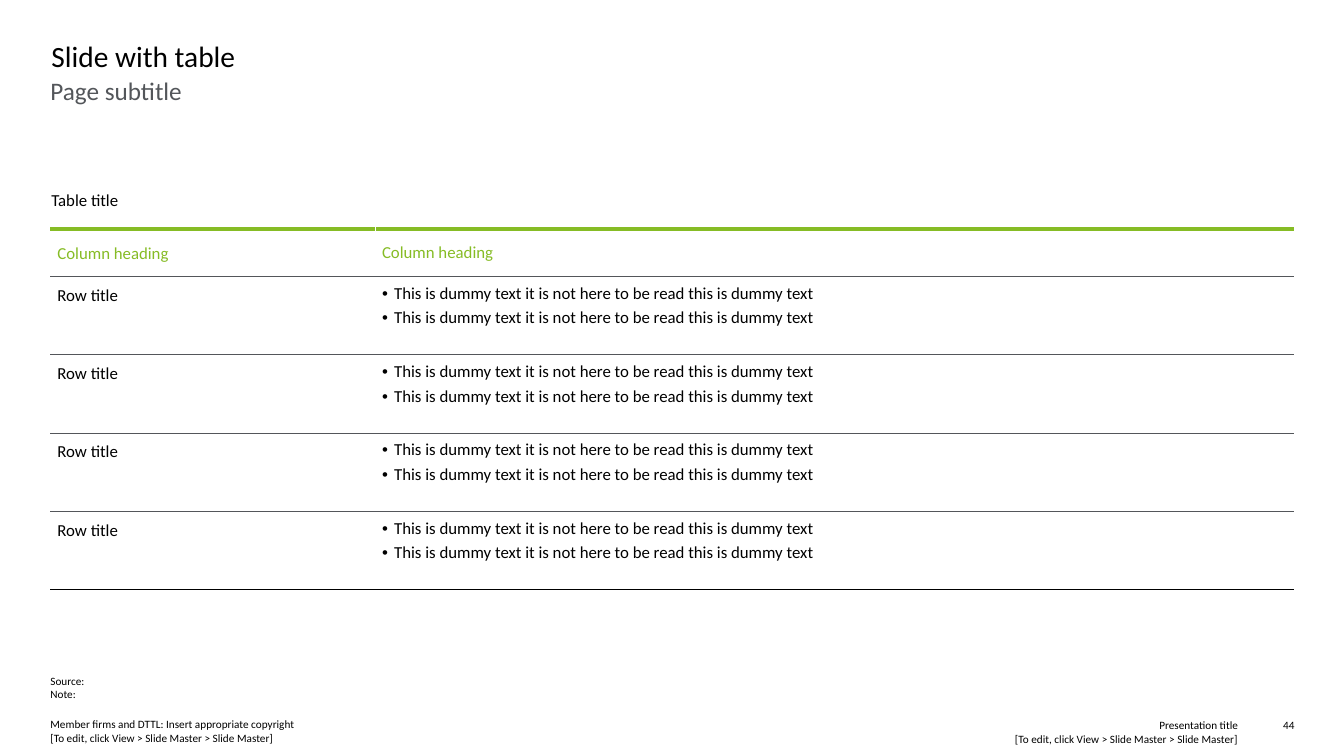
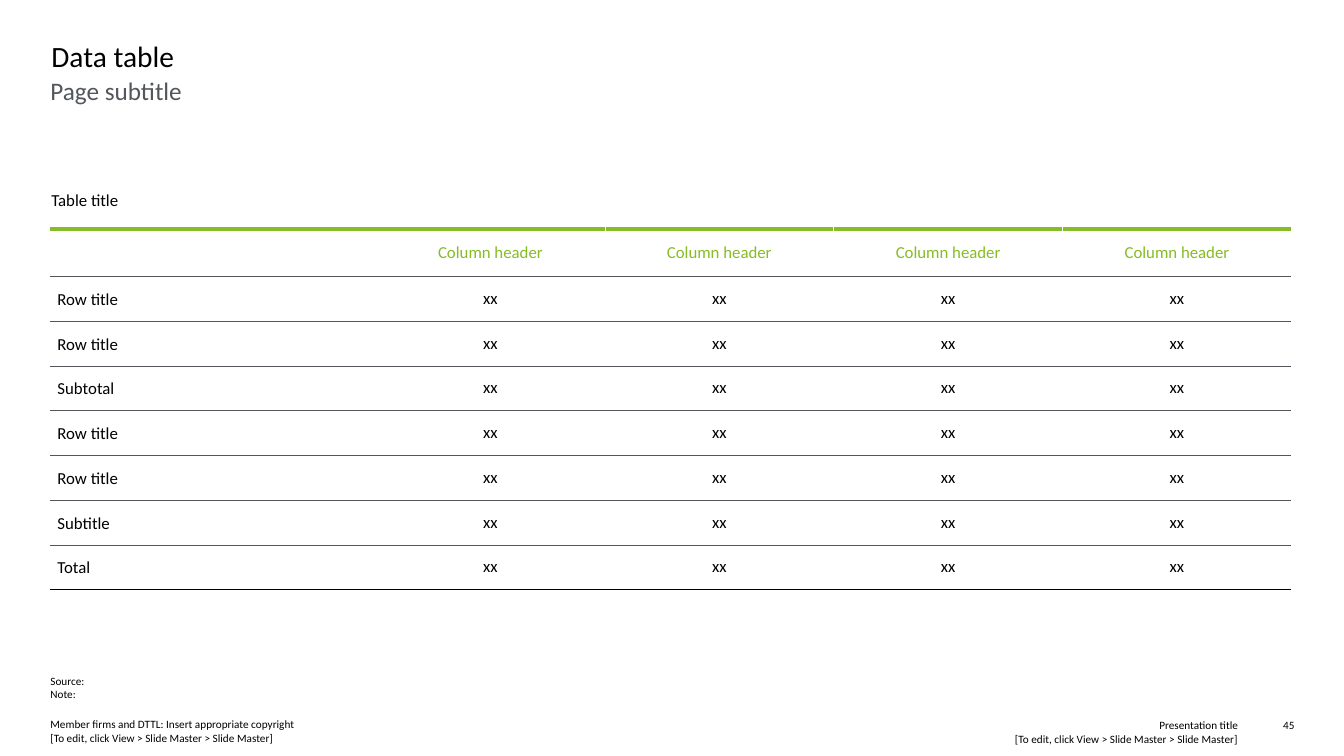
from lxml.etree import SubElement
from pptx import Presentation
from pptx.dml.color import RGBColor
from pptx.enum.text import MSO_ANCHOR, MSO_AUTO_SIZE, PP_ALIGN
from pptx.oxml.ns import qn
from pptx.util import Inches, Pt

FONT = "Calibri"
COLORS = {"text": "000000", "grey": "53565A", "green": "86BC25", "white": "FFFFFF"}
NO_GRID_STYLE = "{2D5ABB26-0587-4C30-8999-92F81FD0307C}"
LEFT, WIDTH = 0.5, 12.33
TABLE_TOP, TABLE_HEIGHT, HEADER_HEIGHT = 2.27, 3.58, 0.47
EDIT_HINT = "[To edit, click View > Slide Master > Slide Master]"
DUMMY_TEXT = "This is dummy text it is not here to be read this is dummy text"


class Deck:
    def __init__(self):
        self.presentation = Presentation()
        self.presentation.slide_width = Inches(13.33)
        self.presentation.slide_height = Inches(7.5)
        self.slide = None

    def add_slide(self, title, number):
        layout = self.presentation.slide_layouts[5]
        self.slide = self.presentation.slides.add_slide(layout)
        shape = self.slide.shapes.title
        shape.left, shape.top = Inches(0.51), Inches(0.38)
        shape.width, shape.height = Inches(12.32), Inches(0.37)
        self.fill_frame(shape.text_frame, [title], 21)
        self.add_text(["Page subtitle"], LEFT, 0.75, WIDTH, 1.12, 18, "grey")
        self.add_text(["Table title"], 0.51, 1.88, WIDTH, 0.39, 12)
        self.add_text(["Source:", "Note:"], LEFT, 6.69, WIDTH, 0.26)
        self.add_text(
            ["Member firms and DTTL: Insert appropriate copyright\v" + EDIT_HINT],
            LEFT, 7.12, 5.86, 0.27,
        )
        self.add_text(
            ["Presentation title\v" + EDIT_HINT],
            6.93, 7.13, 5.35, 0.27, align=PP_ALIGN.RIGHT,
        )
        self.add_text([str(number)], 12.5, 7.13, 0.34, 0.13, align=PP_ALIGN.RIGHT)

    def add_text(self, lines, left, top, width, height, size=8, color="text",
                 align=PP_ALIGN.LEFT):
        shape = self.slide.shapes.add_textbox(
            Inches(left), Inches(top), Inches(width), Inches(height))
        self.fill_frame(shape.text_frame, lines, size, color, align)

    def fill_frame(self, frame, lines, size, color="text", align=PP_ALIGN.LEFT):
        frame.margin_left = frame.margin_right = 0
        frame.margin_top = frame.margin_bottom = 0
        frame.word_wrap = True
        frame.auto_size = MSO_AUTO_SIZE.NONE
        frame.vertical_anchor = MSO_ANCHOR.TOP
        self.write_lines(frame, lines, size, color, align)

    def write_lines(self, frame, lines, size, color, align, bulleted=False):
        frame.text = "\n".join(lines)
        for index, paragraph in enumerate(frame.paragraphs):
            if bulleted:
                self.add_bullet(paragraph)
                if index:
                    paragraph.space_before = Pt(3)
            paragraph.alignment = align
            paragraph.font.name = FONT
            paragraph.font.size = Pt(size)
            paragraph.font.color.rgb = RGBColor.from_string(COLORS[color])

    def add_bullet(self, paragraph):
        properties = paragraph._p.get_or_add_pPr()
        properties.set("marL", str(Inches(0.12)))
        properties.set("indent", str(-Inches(0.12)))
        SubElement(properties, qn("a:buFont"), typeface="Arial")
        SubElement(properties, qn("a:buChar"), char="•")

    def add_table(self, column_widths, headings, rows, anchor, align):
        heights = [HEADER_HEIGHT]
        heights += [(TABLE_HEIGHT - HEADER_HEIGHT) / len(rows)] * len(rows)
        frame = self.slide.shapes.add_table(
            len(heights), len(column_widths), Inches(LEFT), Inches(TABLE_TOP),
            Inches(sum(column_widths)), Inches(TABLE_HEIGHT))
        table = frame.table
        table.first_row = table.horz_banding = False
        table._tbl.tblPr.find(qn("a:tableStyleId")).text = NO_GRID_STYLE
        for column, width in zip(table.columns, column_widths):
            column.width = Inches(width)
        for row, height in zip(table.rows, heights):
            row.height = Inches(height)
        for index, heading in enumerate(headings):
            borders = {"T": ("green", 3), "B": ("grey", 0.25)}
            if index and headings[index - 1]:
                borders["L"] = ("white", 0.5)
            if heading and index < len(headings) - 1:
                borders["R"] = ("white", 0.5)
            self.fill_cell(table.cell(0, index), [heading], "green",
                           MSO_ANCHOR.MIDDLE, align if index else PP_ALIGN.LEFT, borders)
        for row_index, (row_title, content) in enumerate(rows, 1):
            bottom = "text" if row_index == len(rows) else "grey"
            borders = {"T": ("grey", 0.25), "B": (bottom, 0.25)}
            self.fill_cell(table.cell(row_index, 0), [row_title], "text",
                           anchor, PP_ALIGN.LEFT, borders)
            for index, lines in enumerate(content, 1):
                self.fill_cell(table.cell(row_index, index), lines, "text",
                               anchor, align, borders, len(lines) > 1)
        for row in table.rows:
            row.cells[0].text_frame.paragraphs[0].line_spacing = 1.1

    def fill_cell(self, cell, lines, color, anchor, align, borders, bulleted=False):
        cell.margin_left = cell.margin_right = Inches(0.07)
        cell.margin_top = cell.margin_bottom = Inches(0.07)
        cell.vertical_anchor = anchor
        self.write_lines(cell.text_frame, lines, 12, color, align, bulleted)
        properties = cell._tc.get_or_add_tcPr()
        for side in "LRTB":
            if side in borders:
                border_color, width = borders[side]
                line = SubElement(properties, qn("a:ln" + side), w=str(Pt(width)))
                fill = SubElement(line, qn("a:solidFill"))
                SubElement(fill, qn("a:srgbClr"), val=COLORS[border_color])
        cell.fill.solid()
        cell.fill.fore_color.rgb = RGBColor.from_string(COLORS["white"])


def main():
    deck = Deck()

    deck.add_slide("Slide with table", 44)
    text_rows = [("Row title", [[DUMMY_TEXT] * 2])] * 4
    deck.add_table([3.22, 9.11], ["Column heading"] * 2, text_rows,
                   MSO_ANCHOR.TOP, PP_ALIGN.LEFT)

    deck.add_slide("Data table", 45)
    row_titles = ["Row title", "Row title", "Subtotal", "Row title", "Row title",
                  "Subtitle", "Total"]
    data_rows = [(row_title, [["xx"]] * 4) for row_title in row_titles]
    deck.add_table([3.23] + [2.27] * 4, [""] + ["Column header"] * 4, data_rows,
                   MSO_ANCHOR.MIDDLE, PP_ALIGN.CENTER)

    deck.presentation.save("out.pptx")


if __name__ == "__main__":
    main()
